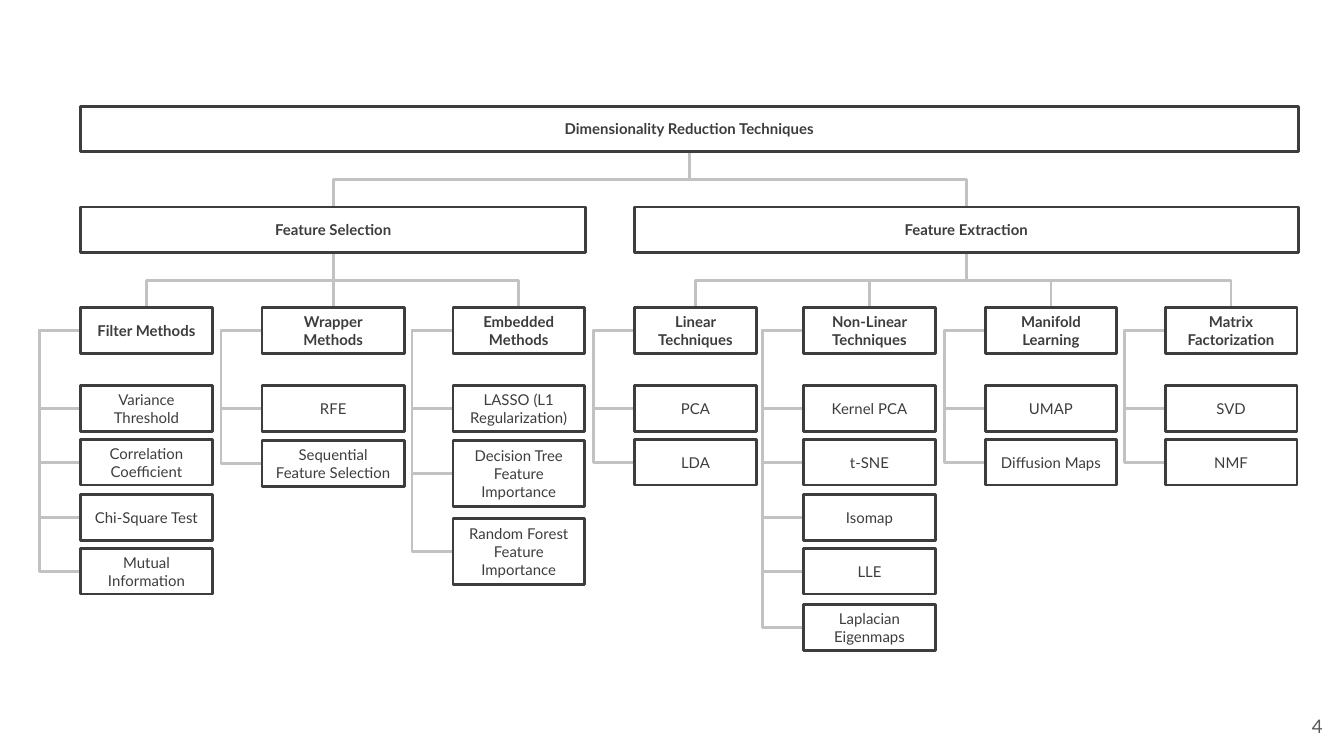
from pptx import Presentation
from pptx.dml.color import RGBColor
from pptx.enum.shapes import MSO_CONNECTOR as Connector, MSO_SHAPE as Shape
from pptx.enum.text import MSO_ANCHOR as Anchor, PP_ALIGN as Align
from pptx.oxml.ns import qn
from pptx.util import Inches, Pt
from lxml import etree

COLORS = {"ink": "3D3D3D", "branch": "C2C2C2", "number": "595959"}
BOX_HEIGHT = 0.34
HEADER_TOP = 2.29
TOPS = (2.87, 3.27, 3.68, 4.08, 4.5)
RAIL_OFFSET = 0.31
RAIL_STEP = 0.01

ROOT = ("Dimensionality Reduction Techniques", 0.6, 9.06)
FAMILIES = [
    ("Feature Selection", 0.6, 3.76, [
        ("Filter Methods", 0.6, 0.98, BOX_HEIGHT, TOPS,
         ["Variance Threshold", "Correlation Coefficient", "Chi-Square Test", "Mutual Information"]),
        ("Wrapper Methods", 1.95, 1.06, BOX_HEIGHT, (2.87, 3.28),
         ["RFE", "Sequential Feature Selection"]),
        ("Embedded Methods", 3.37, 0.98, 0.49, (2.87, 3.28, 3.86),
         ["LASSO (L1 Regularization)", "Decision Tree Feature Importance",
          "Random Forest Feature Importance"]),
    ]),
    ("Feature Extraction", 4.72, 4.94, [
        ("Linear Techniques", 4.72, 0.91, BOX_HEIGHT, TOPS, ["PCA", "LDA"]),
        ("Non-Linear Techniques", 5.98, 0.98, BOX_HEIGHT, TOPS,
         ["Kernel PCA", "t-SNE", "Isomap", "LLE", "Laplacian Eigenmaps"]),
        ("Manifold Learning", 7.33, 0.98, BOX_HEIGHT, TOPS, ["UMAP", "Diffusion Maps"]),
        ("Matrix Factorization", 8.67, 0.98, BOX_HEIGHT, TOPS, ["SVD", "NMF"]),
    ]),
]

presentation = Presentation()
presentation.slide_width = Inches(10)
presentation.slide_height = Inches(10 * 9 / 16)
slide = presentation.slides.add_slide(presentation.slide_layouts[6])


def add_box(text, left, top, width, height=BOX_HEIGHT, bold=False):
    shape = slide.shapes.add_shape(
        Shape.RECTANGLE, Inches(left), Inches(top), Inches(width), Inches(height))
    shape.shadow.inherit = False
    shape.fill.background()
    shape.line.color.rgb = RGBColor.from_string(COLORS["ink"])
    shape.line.width = Pt(1.5)
    frame = shape.text_frame
    frame.word_wrap = True
    frame.vertical_anchor = Anchor.MIDDLE
    frame.margin_left = frame.margin_right = Inches(0.1)
    frame.margin_top = frame.margin_bottom = Inches(0.1)
    paragraph = frame.paragraphs[0]
    paragraph.alignment = Align.CENTER
    run = paragraph.add_run()
    run.text = text
    run.font.name = "Lato"
    run.font.size = Pt(8)
    run.font.bold = bold
    run.font.color.rgb = RGBColor.from_string(COLORS["ink"])
    return shape


def add_branch(kind, *ends):
    connector = slide.shapes.add_connector(kind, *ends)
    connector.line.color.rgb = RGBColor.from_string(COLORS["branch"])
    connector.line.width = Pt(1.5)
    etree.SubElement(connector.element.spPr, qn("a:effectLst"))
    connector.element.getparent().insert(2, connector.element)
    return connector


title, left, width = ROOT
root = add_box(title, left, 0.79, width, bold=True)
links = []

for title, left, width, methods in FAMILIES:
    family = add_box(title, left, 1.54, width, bold=True)
    links.append((root, family))
    for name, left, width, tall, tops, items in methods:
        header = add_box(name, left, HEADER_TOP, width, bold=True)
        links.append((family, header))
        for index, (item, top) in enumerate(zip(items, tops)):
            height = tall if index else BOX_HEIGHT
            add_box(item, left, top, width, height)
            rail = add_branch(
                Connector.ELBOW, Inches(left), Inches(top + height / 2),
                Inches(left + RAIL_STEP), Inches(HEADER_TOP + BOX_HEIGHT / 2))
            guide = etree.SubElement(rail.element.spPr.prstGeom.get_or_add_avLst(), qn("a:gd"))
            guide.set("name", "adj1")
            guide.set("fmla", f"val {round(-RAIL_OFFSET / RAIL_STEP * 100000)}")

for parent, child in links:
    parent_x = parent.left + parent.width // 2
    child_x = child.left + child.width // 2
    bottom = parent.top + parent.height
    if abs(parent_x - child_x) < Inches(0.01):
        branch = add_branch(Connector.STRAIGHT, parent_x, bottom, child_x, child.top)
        branch.begin_connect(parent, 2)
        branch.end_connect(child, 0)
        continue
    middle_x = (parent_x + child_x) // 2
    middle_y = (bottom + child.top) // 2
    half_drop = (child.top - bottom) // 2
    half_span = (parent_x - child_x) // 2
    branch = add_branch(
        Connector.ELBOW, middle_x - half_drop, middle_y - half_span,
        middle_x + half_drop, middle_y + half_span)
    branch.element.spPr.xfrm.set("rot", "5400000")

number_box = slide.shapes.add_textbox(Inches(9.34), Inches(5.19), Inches(0.6), Inches(0.43))
frame = number_box.text_frame
frame.word_wrap = True
frame.vertical_anchor = Anchor.MIDDLE
frame.margin_left = frame.margin_right = Inches(0.1)
frame.margin_top = frame.margin_bottom = Inches(0.1)
paragraph = frame.paragraphs[0]
paragraph.alignment = Align.RIGHT
run = paragraph.add_run()
run.text = "4"
run.font.name = "Lato"
run.font.size = Pt(10)
run.font.color.rgb = RGBColor.from_string(COLORS["number"])

presentation.save("out.pptx")
